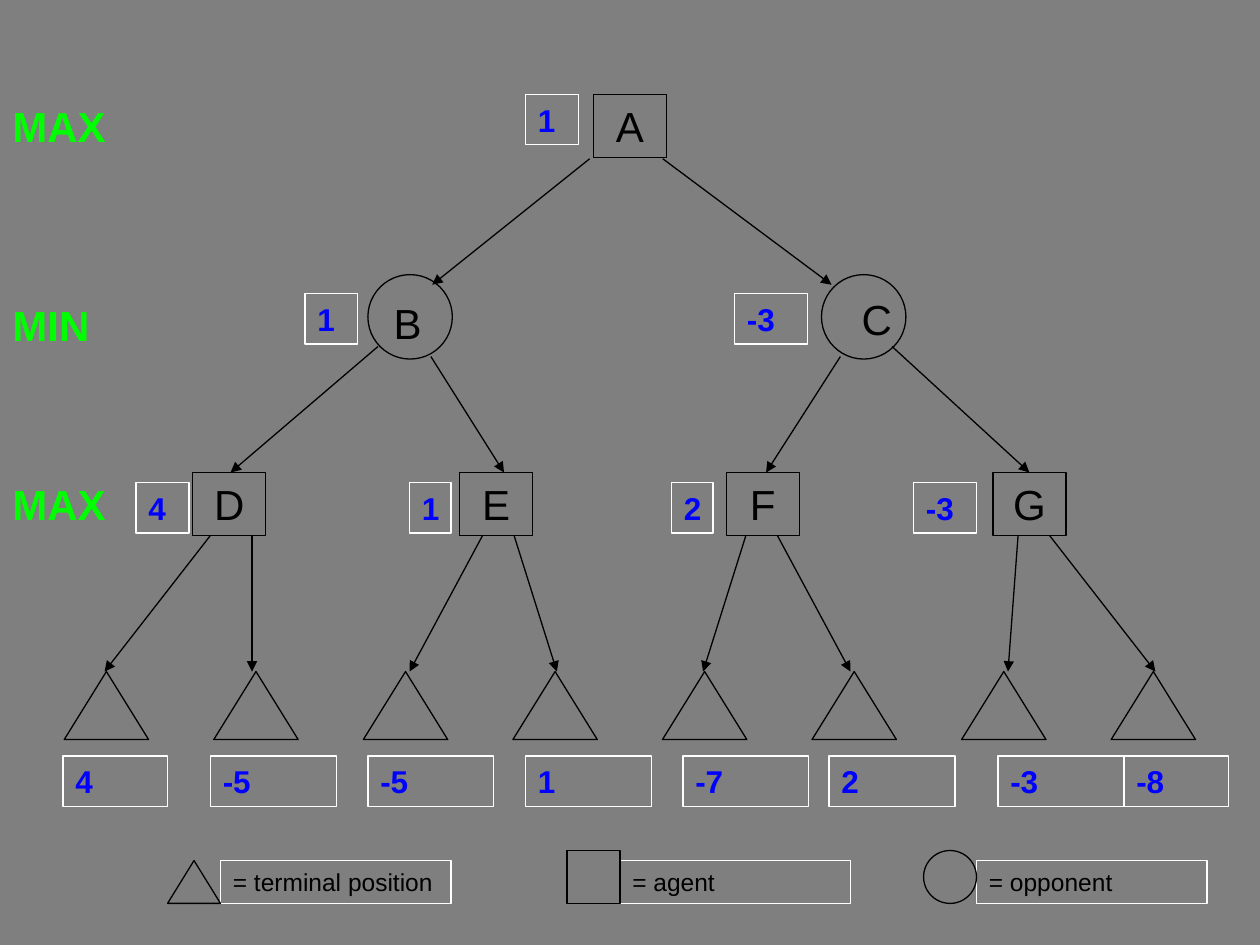
"""Build a minimax game tree slide with agent, opponent and terminal nodes."""
import pptx
import pptx.util
import pptx.dml.color
import pptx.enum.shapes
import pptx.enum.text
import pptx.oxml
import pptx.oxml.ns

Inches = pptx.util.Inches
SHAPE = pptx.enum.shapes.MSO_SHAPE
ALIGN = pptx.enum.text.PP_ALIGN

THEME = {
    "font": "Arial", "background": "7F7F7F", "ink": "000000",
    "frame": "FFFFFF", "value": "0000FF", "level": "00FF00",
    "node_size": 24, "value_size": 18, "legend_size": 14, "line": 0.75,
}

LEVELS = [("MAX", 0.75), ("MIN", 2.33), ("MAX", 3.75)]
AGENTS = [("A", 4.71, 0.75)] + [
    (name, 1.53 + 2.117 * i, 3.75) for i, name in enumerate("DEFG")]
OPPONENTS = [("B", 2.92, (2.9, 2.31, 0.67, 0.5)),
             ("C", 6.52, (6.74, 2.28, 0.24, 0.5))]
VALUES = [
    (0.75, [("1", 4.17, 0.42)]),
    (2.33, [("1", 2.42, 0.42), ("-3", 5.83, 0.58)]),
    (3.83, [("4", 1.08, 0.42), ("1", 3.25, 0.33),
            ("2", 5.33, 0.33), ("-3", 7.25, 0.5)]),
    (6, [("4", 0.5, 0.83), ("-5", 1.67, 1), ("-5", 2.92, 1), ("1", 4.17, 1),
         ("-7", 5.42, 1), ("2", 6.58, 1), ("-3", 7.92, 1), ("-8", 8.92, 0.83)]),
]
UPPER_ARROWS = [
    (4.68, 1.26, 3.43, 2.26), (5.26, 1.26, 6.6, 2.26),
    (3, 2.75, 1.83, 3.75), (3.42, 2.83, 4, 3.75),
    (6.67, 2.83, 6.08, 3.75), (7.08, 2.75, 8.17, 3.75),
]
LEAF_ARROWS = [(1.67, 0.83), (2, 2), (3.83, 3.25), (4.08, 4.42),
               (5.92, 5.58), (6.17, 6.75), (8.08, 8), (8.33, 9.17)]
LEGEND = [
    (SHAPE.ISOSCELES_TRIANGLE, 1.33, 0.34, "= terminal position"),
    (SHAPE.RECTANGLE, 4.5, 0.42, "= agent"),
    (SHAPE.OVAL, 7.33, 0.42, "= opponent"),
]
LEAF_LEFT, LEAF_STEP = 0.51, 1.187
LEGEND_BOTTOM = 7.17


def rgb(name):
    return pptx.dml.color.RGBColor.from_string(THEME[name])


def add_text(sp, text, size="node_size", color="ink", bold=False, align=ALIGN.LEFT):
    tf = sp.text_frame
    tf.word_wrap = True
    tf.vertical_anchor = pptx.enum.text.MSO_ANCHOR.TOP
    p = tf.paragraphs[0]
    p.alignment = align
    r = p.add_run()
    r.text = text
    r.font.name = THEME["font"]
    r.font.size = pptx.util.Pt(THEME[size])
    r.font.bold = bold
    r.font.color.rgb = rgb(color)


def add_outline(slide, kind, box, color="ink"):
    sp = slide.shapes.add_shape(kind, *map(Inches, box))
    sp.shadow.inherit = False
    sp.fill.background()
    sp.line.color.rgb = rgb(color)
    sp.line.width = pptx.util.Pt(THEME["line"])
    return sp


def add_label(slide, box, text, **style):
    add_text(slide.shapes.add_textbox(*map(Inches, box)), text, **style)


def add_arrow(slide, points):
    straight = pptx.enum.shapes.MSO_CONNECTOR.STRAIGHT
    line = slide.shapes.add_connector(straight, *map(Inches, points))
    line.line.color.rgb = rgb("ink")
    line.line.width = pptx.util.Pt(THEME["line"])
    ns = pptx.oxml.ns.nsdecls("a")
    line.line._get_or_add_ln().append(
        pptx.oxml.parse_xml(f'<a:tailEnd {ns} type="triangle"/>'))
    line._element.spPr.append(pptx.oxml.parse_xml(f"<a:effectLst {ns}/>"))


def main():
    prs = pptx.Presentation()
    prs.slide_width, prs.slide_height = Inches(10), Inches(7.5)
    slide = prs.slides.add_slide(prs.slide_layouts[6])
    slide.background.fill.solid()
    slide.background.fill.fore_color.rgb = rgb("background")

    for text, top in LEVELS:
        add_label(slide, (0, top, 1.08, 0.5), text, color="level", bold=True)
    for name, left, top in AGENTS:
        sp = add_outline(slide, SHAPE.RECTANGLE, (left, top, 0.58, 0.5))
        add_text(sp, name, align=ALIGN.CENTER)
    for name, left, label_box in OPPONENTS:
        add_label(slide, label_box, name, align=ALIGN.CENTER)
        add_outline(slide, SHAPE.OVAL, (left, 2.18, 0.67, 0.67))
    for i, (start, end) in enumerate(LEAF_ARROWS):
        left = LEAF_LEFT + i * LEAF_STEP
        add_outline(slide, SHAPE.ISOSCELES_TRIANGLE, (left, 5.33, 0.67, 0.54))
        add_arrow(slide, (start, 4.25, end, 5.33))
    for points in UPPER_ARROWS:
        add_arrow(slide, points)
    for top, row in VALUES:
        for text, left, width in row:
            sp = add_outline(slide, SHAPE.RECTANGLE, (left, top, width, 0.4), "frame")
            add_text(sp, text, size="value_size", color="value", bold=True)
    for kind, left, height, text in LEGEND:
        sp = add_outline(slide, SHAPE.RECTANGLE, (left + 0.42, 6.83, 1.83, 0.34), "frame")
        add_text(sp, text, size="legend_size")
        add_outline(slide, kind, (left, LEGEND_BOTTOM - height, 0.42, height))

    prs.save("out.pptx")


if __name__ == "__main__":
    main()
